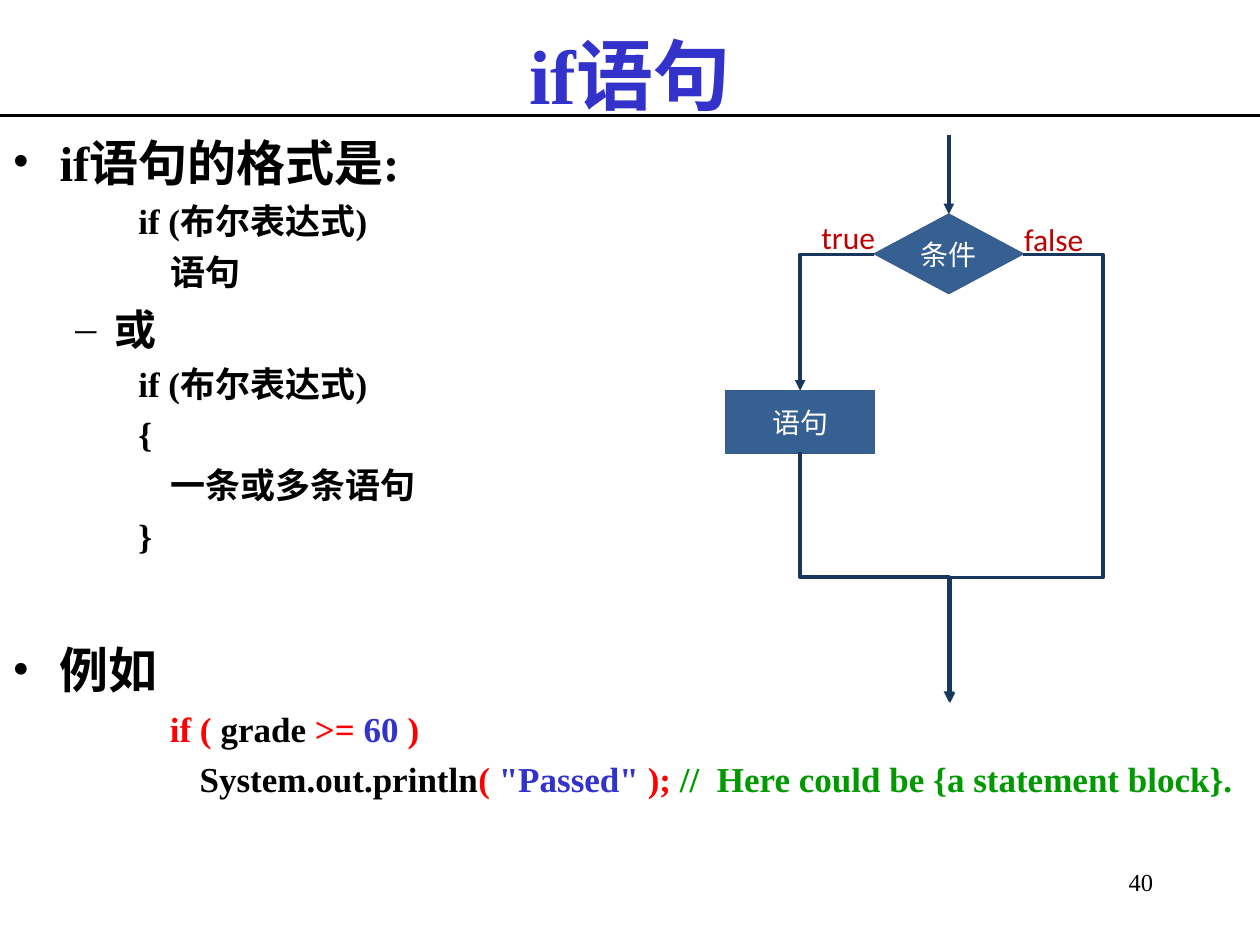
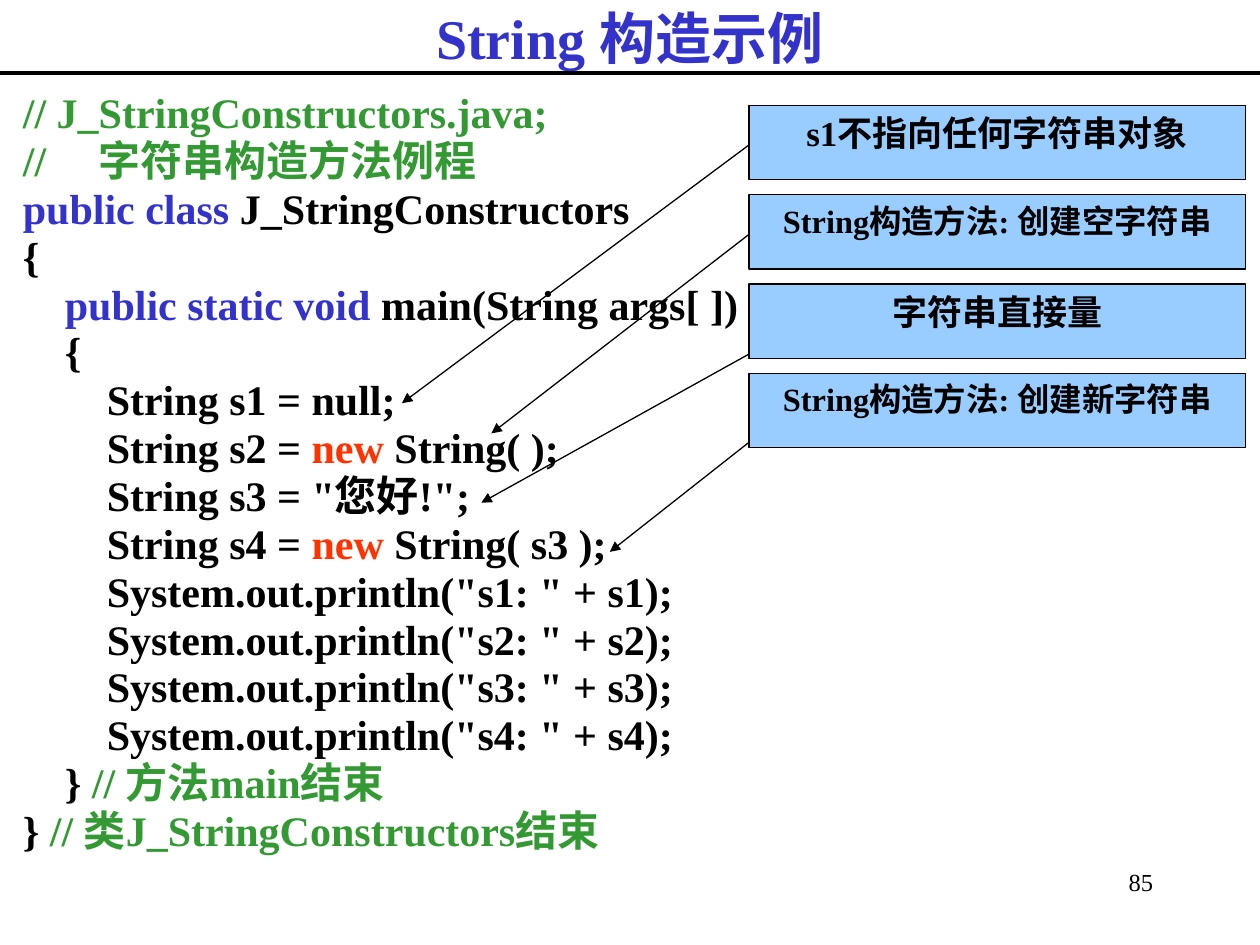
from dataclasses import dataclass
from typing import Any, NamedTuple, Optional, Sequence

from lxml import etree
from pptx import Presentation
from pptx import util as u
from pptx.dml.color import RGBColor
from pptx.enum import shapes, text
from pptx.oxml import ns

BLACK = RGBColor(0x00, 0x00, 0x00)
WHITE = RGBColor(0xFF, 0xFF, 0xFF)
BLUE = RGBColor(0x33, 0x33, 0xCC)
RED = RGBColor(0xFF, 0x00, 0x00)
ORANGE = RGBColor(0xFF, 0x33, 0x00)
GREEN = RGBColor(0x00, 0x99, 0x00)
COMMENT = RGBColor(0x33, 0x99, 0x33)
LABEL = RGBColor(0xC0, 0x00, 0x00)
NODE = RGBColor(0x37, 0x60, 0x92)
NODE_EDGE = RGBColor(0x38, 0x5D, 0x8A)
FLOW = RGBColor(0x17, 0x37, 0x5E)
CALLOUT = RGBColor(0x99, 0xCC, 0xFF)

SERIF, SANS, CJK = "Times New Roman", "Calibri", "Noto Sans CJK SC"

WIDTH, HEIGHT = u.Inches(10), u.Inches(7.5)
COLUMNS, ROWS = 100, 75


def across(columns: float) -> u.Emu:
    return u.Emu(round(WIDTH * columns / COLUMNS))


def down(rows: float) -> u.Emu:
    return u.Emu(round(HEIGHT * rows / ROWS))


class Area(NamedTuple):
    """A rectangle in grid columns and rows."""
    column: float
    row: float
    columns: float
    rows: float

    def lengths(self) -> tuple:
        return across(self.column), down(self.row), across(self.columns), down(self.rows)


class Piece(NamedTuple):
    text: str
    color: RGBColor = BLACK


@dataclass(frozen=True)
class Style:
    size: float
    font: str = SERIF
    bold: bool = True
    align: Any = text.PP_ALIGN.LEFT
    margin: float = 0
    indent: float = 0
    before: float = 0
    spacing: Optional[float] = None
    bullet: str = ""


class Line(NamedTuple):
    style: Style
    pieces: Sequence[Piece]


class Elbow(NamedTuple):
    """A bent arrow: its unrotated frame, then turn, flip, preset and bends."""
    frame: Area
    turn: int
    flip: str
    preset: str
    bends: Sequence[int] = ()


class Callout(NamedTuple):
    text: str
    size: float
    start_row: float
    tip: tuple


TITLE = Style(44, align=text.PP_ALIGN.CENTER)
SMALL_TITLE = Style(32, align=text.PP_ALIGN.CENTER)
PAGE_NUMBER = Style(14, bold=False, align=text.PP_ALIGN.RIGHT)
NODE_TEXT = Style(16, CJK, False, text.PP_ALIGN.CENTER)
BRANCH_TEXT = Style(18, SANS, False)
FIRST_TOPIC = Style(28, margin=3.75, indent=-3.75, bullet="•")
NEXT_TOPIC = Style(28, margin=3.75, indent=-3.75, before=47.5, bullet="•")
SUBTOPIC = Style(24, margin=8.13, indent=-3.13, before=6, bullet="–")
SYNTAX = Style(20, margin=12.5, indent=-2.5, before=5)
EXAMPLE = Style(20, margin=12.5, before=5)
LISTING = Style(24, margin=3.75, indent=-3.75, spacing=0.95)

IF_BODY = [
    Line(FIRST_TOPIC, [Piece("if语句的格式是:")]),
    Line(SYNTAX, [Piece("if (布尔表达式)")]),
    Line(SYNTAX, [Piece("    语句")]),
    Line(SUBTOPIC, [Piece("或")]),
    Line(SYNTAX, [Piece("if (布尔表达式)")]),
    Line(SYNTAX, [Piece("{")]),
    Line(SYNTAX, [Piece("    一条或多条语句")]),
    Line(SYNTAX, [Piece("}")]),
    Line(NEXT_TOPIC, [Piece("例如")]),
    Line(EXAMPLE, [Piece("if ( ", RED), Piece("grade"), Piece(" >= ", RED),
                   Piece("60", BLUE), Piece(" )", RED)]),
    Line(SYNTAX, [Piece("       System.out.println"), Piece("( ", RED),
                  Piece('"Passed"', BLUE), Piece(" ); ", RED),
                  Piece("//  Here could be {a statement block}.", GREEN)]),
]

STRING_CODE = [
    [Piece("// J_StringConstructors.java;", COMMENT)],
    [Piece("//     字符串构造方法例程", COMMENT)],
    [Piece("public class ", BLUE), Piece("J_StringConstructors")],
    [Piece("{")],
    [Piece("    "), Piece("public static void", BLUE), Piece(" main(String args[ ])")],
    [Piece("    {")],
    [Piece("        String s1 = null;")],
    [Piece("        String s2 = "), Piece("new", ORANGE), Piece(" String( );")],
    [Piece('        String s3 = "您好!";')],
    [Piece("        String s4 = "), Piece("new", ORANGE), Piece(" String( s3 );")],
    *[[Piece(f'        System.out.println("s{number}: " + s{number});')]
      for number in range(1, 5)],
    [Piece("    } "), Piece("// 方法main结束", COMMENT)],
    [Piece("} "), Piece("// 类J_StringConstructors结束", COMMENT)],
]

CALLOUTS = [
    Callout("s1不指向任何字符串对象", 20, 11.5, (31.9, 32)),
    Callout("String构造方法: 创建空字符串", 18.5, 18.6, (39, 34.4)),
    Callout("字符串直接量", 20, 28.1, (38.2, 39.9)),
    Callout("String构造方法: 创建新字符串", 18.5, 35.1, (48.4, 43.8)),
]
FIRST_CALLOUT = Area(59.45, 8.35, 39.4, 5.9)
CALLOUT_STEP = 7.09

BRANCHES = [
    Elbow(Area(63.5, 20.2, 5.9, 10.8), 180, "flipV", "bentConnector2"),
    Elbow(Area(59.5, 39.9, 19.8, 11.8), 270, "flipH", "bentConnector3", (50000,)),
    Elbow(Area(75.4, 20.2, 5.8, 35.6), 0, "flipH", "bentConnector4", (-109300, 72000)),
]


def write_lines(shape, lines: Sequence[Line]) -> None:
    frame = shape.text_frame
    for number, line in enumerate(lines):
        paragraph = frame.add_paragraph() if number else frame.paragraphs[0]
        style = line.style
        properties = paragraph._p.get_or_add_pPr()
        properties.set("marL", str(across(style.margin)))
        properties.set("indent", str(across(style.indent)))
        if style.bullet:
            etree.SubElement(properties, ns.qn("a:buFont")).set("typeface", style.font)
            etree.SubElement(properties, ns.qn("a:buChar")).set("char", style.bullet)
        else:
            etree.SubElement(properties, ns.qn("a:buNone"))
        paragraph.alignment = style.align
        paragraph.space_before = u.Pt(style.before)
        if style.spacing:
            paragraph.line_spacing = style.spacing
        for piece in line.pieces:
            run = paragraph.add_run()
            run.text = piece.text
            run.font.name = style.font
            run.font.size = u.Pt(style.size)
            run.font.bold = style.bold
            run.font.color.rgb = piece.color


def add_text(slide, area: Area, lines: Sequence[Line],
             anchor=text.MSO_ANCHOR.TOP) -> None:
    box = slide.shapes.add_textbox(*area.lengths())
    box.text_frame.word_wrap = True
    box.text_frame.vertical_anchor = anchor
    write_lines(box, lines)


def add_box(slide, preset, area: Area, fill: RGBColor, edge: RGBColor, edge_width: float,
            line: Line, anchor=text.MSO_ANCHOR.TOP, inset: float = 1) -> None:
    shape = slide.shapes.add_shape(preset, *area.lengths())
    shape.shadow.inherit = False
    shape.fill.solid()
    shape.fill.fore_color.rgb = fill
    shape.line.color.rgb = edge
    shape.line.width = u.Pt(edge_width)
    frame = shape.text_frame
    frame.word_wrap = True
    frame.vertical_anchor = anchor
    frame.margin_left = frame.margin_right = across(inset)
    frame.margin_top = frame.margin_bottom = down(inset / 2)
    write_lines(shape, [line])


def add_line(slide, start: tuple, end: tuple, color: RGBColor, width: float,
             arrow: bool = True, kind=shapes.MSO_CONNECTOR.STRAIGHT):
    connector = slide.shapes.add_connector(
        kind, across(start[0]), down(start[1]), across(end[0]), down(end[1]))
    connector.line.color.rgb = color
    connector.line.width = u.Pt(width)
    if arrow:
        outline = connector.line._get_or_add_ln()
        etree.SubElement(outline, ns.qn("a:tailEnd")).set("type", "triangle")
    etree.SubElement(connector._element.spPr, ns.qn("a:effectLst"))
    return connector


def add_elbow(slide, elbow: Elbow) -> None:
    column, row, columns, rows = elbow.frame
    connector = add_line(slide, (column, row), (column + columns, row + rows),
                         FLOW, 2, kind=shapes.MSO_CONNECTOR.ELBOW)
    properties = connector._element.spPr
    transform = properties.find(ns.qn("a:xfrm"))
    transform.set("rot", str(elbow.turn * 60000))
    transform.set(elbow.flip, "1")
    geometry = properties.find(ns.qn("a:prstGeom"))
    geometry.set("prst", elbow.preset)
    guides = geometry.find(ns.qn("a:avLst"))
    for number, bend in enumerate(elbow.bends, 1):
        guide = etree.SubElement(guides, ns.qn("a:gd"))
        guide.set("name", f"adj{number}")
        guide.set("fmla", f"val {bend}")


def start_slide(presentation, title: str, style: Style, area: Area, page: int):
    """Adds a slide with its title, the rule below it and the page number."""
    slide = presentation.slides.add_slide(presentation.slide_layouts[6])
    add_text(slide, area, [Line(style, [Piece(title, BLUE)])], text.MSO_ANCHOR.MIDDLE)
    rule = area.row + area.rows
    add_line(slide, (0, rule), (COLUMNS, rule), BLACK, 2.25, arrow=False)
    add_text(slide, Area(81.7, 68.3, 10.8, 5), [Line(PAGE_NUMBER, [Piece(str(page))])])
    return slide


def build_if_slide(presentation) -> None:
    slide = start_slide(presentation, "if语句", TITLE, Area(7.5, 2.5, 85, 6.67), 40)
    add_text(slide, Area(0, 10, 100, 55), IF_BODY)
    nodes = [(shapes.MSO_SHAPE.DIAMOND, Area(69.4, 17, 11.8, 6.3), "条件"),
             (shapes.MSO_SHAPE.RECTANGLE, Area(57.6, 31, 11.8, 5), "语句")]
    for preset, area, label in nodes:
        add_box(slide, preset, area, NODE, NODE_EDGE, 0.85,
                Line(NODE_TEXT, [Piece(label, WHITE)]), text.MSO_ANCHOR.MIDDLE, 0)
    add_line(slide, (75.3, 10.7), (75.3, 17), FLOW, 2)
    for label, area in [("false", Area(80.3, 17, 8, 4)), ("true", Area(64.2, 16.8, 8, 4))]:
        add_text(slide, area, [Line(BRANCH_TEXT, [Piece(label, LABEL)])])
    for branch in BRANCHES:
        add_elbow(slide, branch)


def build_string_slide(presentation) -> None:
    slide = start_slide(presentation, "String 构造示例", SMALL_TITLE, Area(0, 0, 100, 5.83), 85)
    add_text(slide, Area(0.83, 6.67, 79.2, 62.5), [Line(LISTING, code) for code in STRING_CODE])
    for number, callout in enumerate(CALLOUTS):
        area = FIRST_CALLOUT._replace(row=FIRST_CALLOUT.row + number * CALLOUT_STEP)
        style = Style(callout.size, align=text.PP_ALIGN.CENTER)
        add_box(slide, shapes.MSO_SHAPE.RECTANGLE, area, CALLOUT, BLACK, 0.75,
                Line(style, [Piece(callout.text)]))
        add_line(slide, (area.column, callout.start_row), callout.tip, BLACK, 0.75)


def main() -> None:
    presentation = Presentation()
    presentation.slide_width, presentation.slide_height = WIDTH, HEIGHT
    build_if_slide(presentation)
    build_string_slide(presentation)
    presentation.save("out.pptx")


if __name__ == "__main__":
    main()
